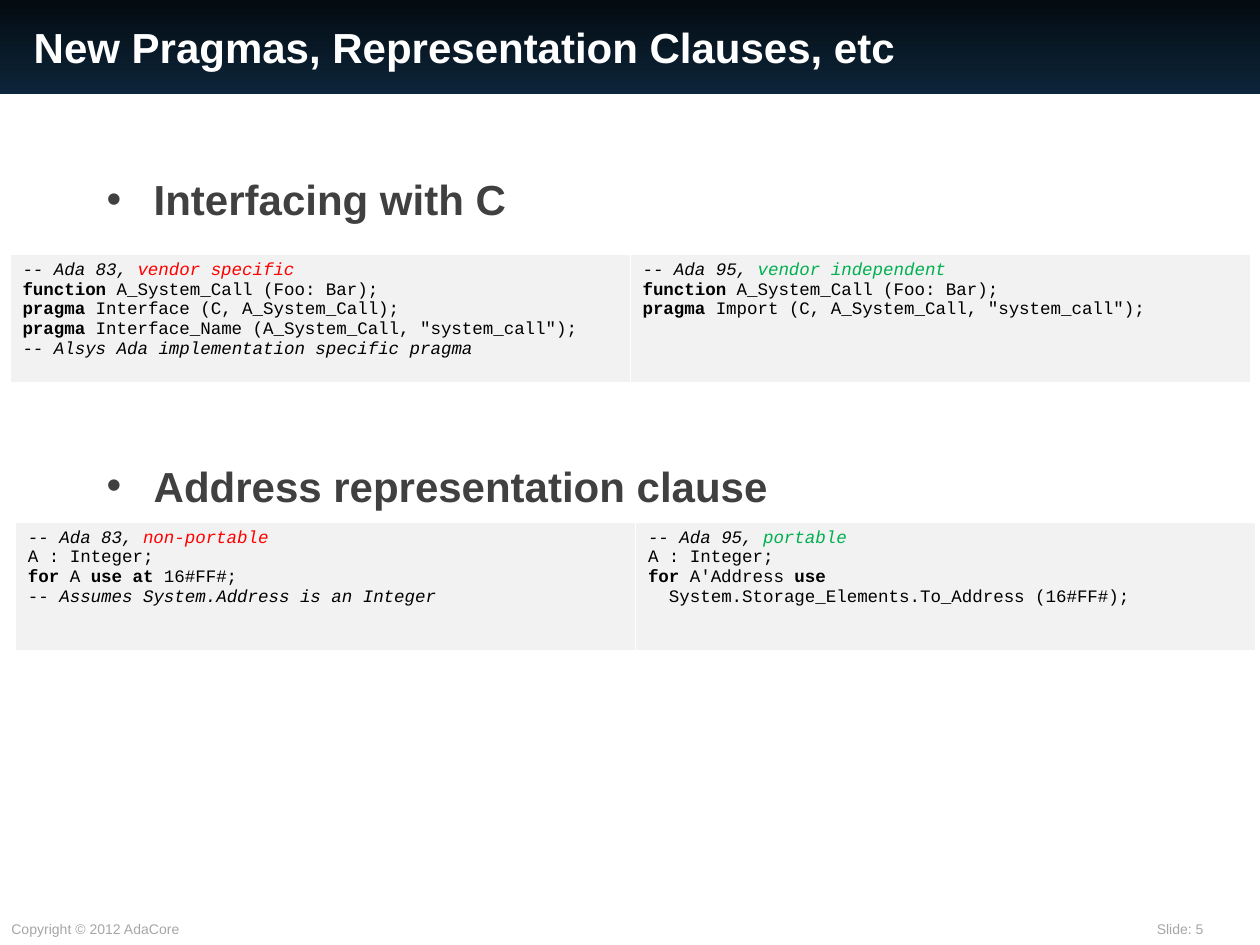
from lxml import etree
from pptx import Presentation
from pptx.dml.color import RGBColor
from pptx.enum.shapes import MSO_SHAPE
from pptx.enum.text import MSO_ANCHOR
from pptx.oxml.ns import qn
from pptx.util import Cm, Pt

RECTANGLE = MSO_SHAPE.RECTANGLE
MIDDLE = MSO_ANCHOR.MIDDLE
COLOURS = {
    "band_top": "040B11", "band_bottom": "0D253A", "white": "FFFFFF",
    "heading": "404040", "footer": "A6A6A6", "code": "000000",
    "panel": "F2F2F2", "old": "FF0000", "new": "00B050",
}
PLAIN = {}
BOLD = {"bold": True}
ITALIC = {"italic": True}
OLD = {"italic": True, "colour": "old"}
NEW = {"italic": True, "colour": "new"}
CALL = [("function", BOLD), (" A_System_Call (Foo: Bar);", PLAIN)]
DECLARATION = [("A : Integer;", PLAIN)]
INTERFACE_CODE = [
    [
        [("-- Ada 83, ", ITALIC), ("vendor specific", OLD)],
        CALL,
        [("pragma", BOLD), (" Interface (C, A_System_Call);", PLAIN)],
        [("pragma", BOLD), (' Interface_Name (A_System_Call, "system_call");', PLAIN)],
        [("-- Alsys Ada implementation specific pragma", ITALIC)],
    ],
    [
        [("-- Ada 95, ", ITALIC), ("vendor independent", NEW)],
        CALL,
        [("pragma", BOLD), (' Import (C, A_System_Call, "system_call");', PLAIN)],
    ],
]
ADDRESS_CODE = [
    [
        [("-- Ada 83, ", ITALIC), ("non-portable", OLD)],
        DECLARATION,
        [("for", BOLD), (" A ", PLAIN), ("use at", BOLD), (" 16#FF#;", PLAIN)],
        [("--", PLAIN), (" Assumes System.Address is an Integer", ITALIC)],
    ],
    [
        [("-- Ada 95, ", ITALIC), ("portable", NEW)],
        DECLARATION,
        [("for ", BOLD), ("A'Address", PLAIN), (" use", BOLD)],
        [("  System.Storage_Elements.To_Address (16#FF#);", PLAIN)],
    ],
]


def rgb(name):
    """Return the named colour."""
    return RGBColor.from_string(COLOURS[name])


def add_span(para, text, size, colour, font="Arial", bold=False, italic=False):
    """Add one formatted run to a paragraph."""
    span = para.add_run()
    span.text = text
    span.font.name = font
    span.font.size = Pt(size)
    span.font.bold = bold
    span.font.italic = italic
    span.font.color.rgb = rgb(colour)


def add_text_box(page, left, top, width, height, wrap=True):
    """Add an empty text box and return its text frame."""
    box = page.shapes.add_textbox(Cm(left), Cm(top), Cm(width), Cm(height))
    box.text_frame.word_wrap = wrap
    return box.text_frame


def add_header(page, left, top, width, height):
    """Draw the gradient band with the slide title."""
    band = page.shapes.add_shape(RECTANGLE, Cm(left), Cm(top), Cm(width), Cm(height))
    band.shadow.inherit = False
    band.line.fill.background()
    band.fill.gradient()
    band.fill.gradient_angle = 270
    for stop, position, name in zip(
        band.fill.gradient_stops, (0, 1), ("band_top", "band_bottom")
    ):
        stop.position = position
        stop.color.rgb = rgb(name)
    frame = add_text_box(page, left + 0.43, top + 0.21, 22.23, height - 0.42)
    frame.vertical_anchor = MIDDLE
    add_span(frame.paragraphs[0], "New Pragmas, Representation Clauses, etc",
             24, "white", bold=True)


def add_bullet(para):
    """Give a paragraph a hanging round bullet."""
    properties = para._p.get_or_add_pPr()
    properties.set("marL", str(Cm(0.95)))
    properties.set("indent", str(Cm(-0.95)))
    colour = etree.SubElement(properties, qn("a:buClr"))
    etree.SubElement(colour, qn("a:srgbClr"), val=COLOURS["heading"])
    etree.SubElement(properties, qn("a:buFont"), typeface="Arial")
    etree.SubElement(properties, qn("a:buChar"), char="•")


def add_topics(page, left, top, width, height):
    """Place the two bulleted headings, spaced to leave room for code."""
    frame = add_text_box(page, left, top, width, height)
    topics = [("Interfacing with C", 0), ("Address representation clause", 129)]
    for index, (topic, gap) in enumerate(topics):
        para = frame.add_paragraph() if index else frame.paragraphs[0]
        add_bullet(para)
        para.line_spacing = 1.2
        para.space_before = Pt(gap)
        add_span(para, topic, 24, "heading", bold=True)


def add_borders(cell):
    """Outline a cell in white with a heavier bottom edge."""
    properties = cell._tc.get_or_add_tcPr()
    edges = [("a:lnL", 0.45), ("a:lnR", 0.45), ("a:lnT", 0.45), ("a:lnB", 1.47)]
    for index, (tag, weight) in enumerate(edges):
        edge = etree.Element(qn(tag), w=str(Pt(weight)))
        fill = etree.SubElement(edge, qn("a:solidFill"))
        etree.SubElement(fill, qn("a:srgbClr"), val=COLOURS["white"])
        properties.insert(index, edge)


def add_code_panel(page, lines, left, top, width, height):
    """Show code lines in a one-cell table."""
    table = page.shapes.add_table(
        1, 1, Cm(left), Cm(top), Cm(width), Cm(height)
    ).table
    table.first_row = False
    table.horz_banding = False
    cell = table.cell(0, 0)
    cell.fill.solid()
    cell.fill.fore_color.rgb = rgb("panel")
    add_borders(cell)
    frame = cell.text_frame
    for index, line in enumerate(lines):
        para = frame.add_paragraph() if index else frame.paragraphs[0]
        for text, style in line:
            add_span(para, text, 10, **{"colour": "code", "font": "Courier New", **style})


def add_comparison(page, panels, left, top, width, height):
    """Place code panels side by side in equal columns."""
    column = width / len(panels)
    for index, lines in enumerate(panels):
        add_code_panel(page, lines, left + index * column, top, column, height)


def add_footer(page, left, top, width, height):
    """Place the copyright line and the slide number."""
    frame = add_text_box(page, left, top, 4, height, wrap=False)
    add_span(frame.paragraphs[0], "Copyright © 2012 AdaCore", 8, "footer")
    frame = add_text_box(page, left + width - 2.31, top, 2.31, height)
    add_span(frame.paragraphs[0], "Slide: 5", 8, "footer")


def main():
    """Build and save the slide."""
    deck = Presentation()
    deck.slide_width = Cm(25.4)
    deck.slide_height = Cm(19.05)
    page = deck.slides.add_slide(deck.slide_layouts[6])
    add_footer(page, -0.02, 18.43, 25.4, 0.6)
    add_header(page, 0, 0, 25.4, 1.9)
    add_topics(page, 1.9, 3.18, 21.8, 14.8)
    add_comparison(page, INTERFACE_CODE, 0.2, 5.13, 25, 2.59)
    add_comparison(page, ADDRESS_CODE, 0.31, 10.53, 25, 2.59)
    deck.save("out.pptx")


if __name__ == "__main__":
    main()
